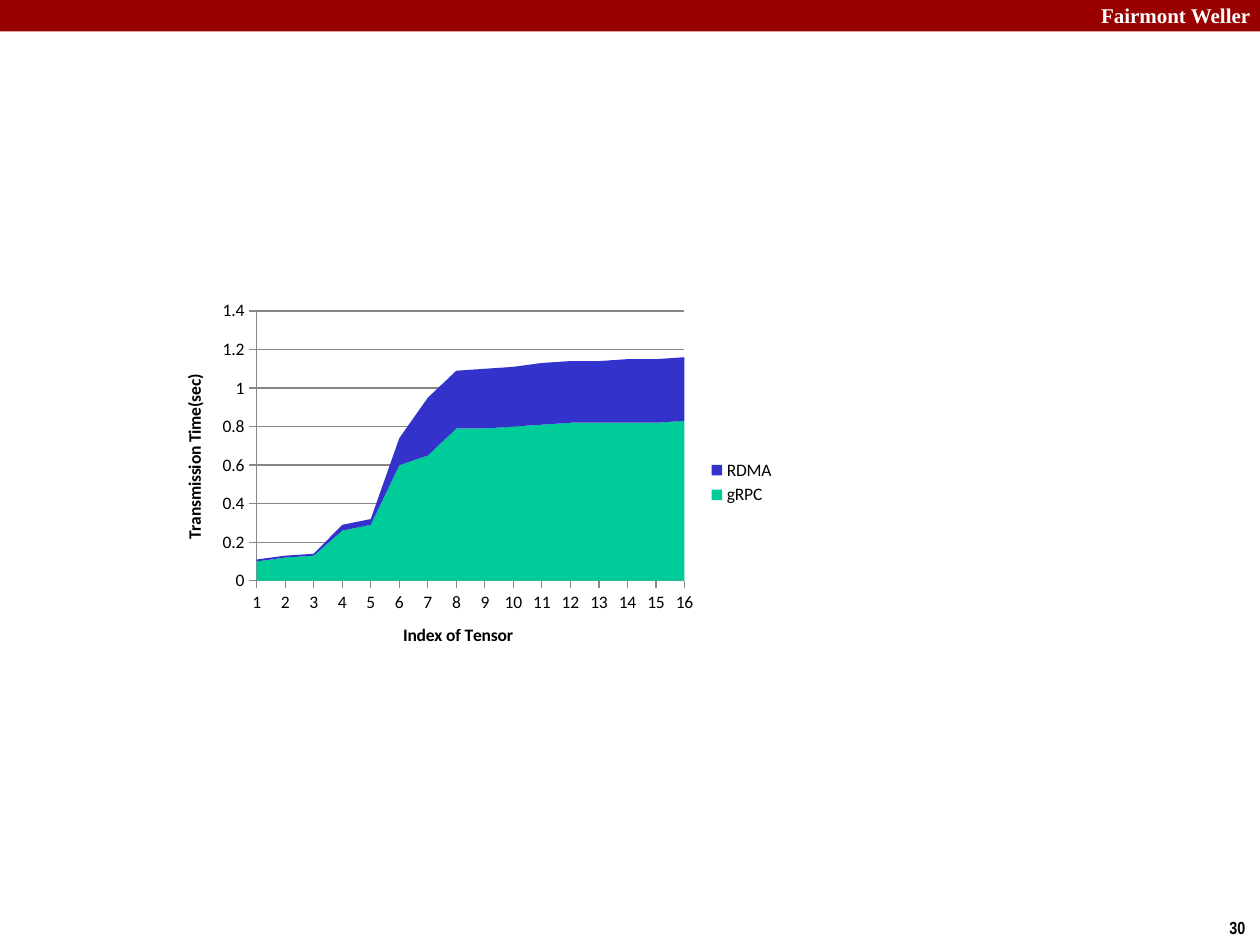
"""Builds a slide with a stacked area chart of tensor transmission times."""
from pptx import Presentation
from pptx.chart.data import CategoryChartData
from pptx.dml.color import RGBColor
from pptx.enum.chart import XL_CHART_TYPE as ChartType, XL_LEGEND_POSITION as LegendPosition
from pptx.enum.chart import XL_TICK_MARK as TickMark
from pptx.enum.shapes import MSO_SHAPE as Preset
from pptx.util import Inches, Pt

RED = RGBColor(0x99, 0x00, 0x00)
WHITE = RGBColor(0xFF, 0xFF, 0xFF)
BLACK = RGBColor(0x00, 0x00, 0x00)
GREY = RGBColor(0x87, 0x87, 0x87)
GREEN = RGBColor(0x00, 0xCC, 0x99)
BLUE = RGBColor(0x33, 0x33, 0xCC)

LABELS = [
    ("Fairmont Weller", (8.64, -0.03, 1.43, 0.3), "Times New Roman", 12, WHITE, True),
    ("30", (9.66, 7.23, 0.34, 0.27), "Arial Narrow", 10, BLACK, False),
]
TIMES = [
    ("gRPC", GREEN, (0.1, 0.12, 0.13, 0.26, 0.29, 0.6, 0.65, 0.79,
                     0.79, 0.8, 0.81, 0.82, 0.82, 0.82, 0.82, 0.83)),
    ("RDMA", BLUE, (0.01, 0.01, 0.01, 0.03, 0.03, 0.14, 0.3, 0.3,
                    0.31, 0.31, 0.32, 0.32, 0.32, 0.33, 0.33, 0.33)),
]
TENSORS = [str(index) for index in range(1, 17)]
CHART_BOX = (1.25, 2.33, 5, 3)


def inches(box):
    return [Inches(length) for length in box]


def style(font, size, color, name, bold=False):
    font.size, font.name, font.bold = Pt(size), name, bold
    font.color.rgb = color


deck = Presentation()
deck.slide_width, deck.slide_height = Inches(10), Inches(7.5)
slide = deck.slides.add_slide(deck.slide_layouts[6])

banner = slide.shapes.add_shape(Preset.RECTANGLE, 0, 0, deck.slide_width, Inches(0.25))
banner.shadow.inherit = False
banner.fill.solid()
banner.fill.fore_color.rgb = RED
banner.line.fill.background()

for wording, box, face, size, color, wraps in LABELS:
    frame = slide.shapes.add_textbox(*inches(box)).text_frame
    frame.word_wrap = wraps
    label = frame.paragraphs[0]
    label.text = wording
    style(label.font, size, color, face, bold=True)

data = CategoryChartData()
data.categories = TENSORS
for protocol, _, seconds in TIMES:
    data.add_series(protocol, seconds)

chart = slide.shapes.add_chart(ChartType.AREA_STACKED, *inches(CHART_BOX), data).chart
style(chart.font, 10, BLACK, "Calibri")
chart.has_title = False
chart.has_legend = True
chart.legend.position = LegendPosition.RIGHT
chart.legend.include_in_layout = False

for area, (_, color, _) in zip(chart.plots[0].series, TIMES):
    area.format.fill.solid()
    area.format.fill.fore_color.rgb = color
    area.format.line.fill.background()

for axis, caption in ((chart.category_axis, "Index of Tensor"),
                      (chart.value_axis, "Transmission Time(sec)")):
    title = axis.axis_title.text_frame.paragraphs[0]
    title.text = caption
    style(title.font, 10, BLACK, "Calibri", bold=True)
    axis.major_tick_mark = TickMark.OUTSIDE
    axis.minor_tick_mark = TickMark.NONE
    axis.format.line.color.rgb = GREY
    axis.format.line.width = Pt(0.75)

chart.category_axis.has_major_gridlines = False
seconds_axis = chart.value_axis
seconds_axis.minimum_scale, seconds_axis.maximum_scale = 0, 1.4
seconds_axis.major_unit = 0.2
seconds_axis.tick_labels.number_format = "General"
seconds_axis.tick_labels.number_format_is_linked = False
seconds_axis.has_major_gridlines = True
seconds_axis.major_gridlines.format.line.color.rgb = GREY
seconds_axis.major_gridlines.format.line.width = Pt(0.75)
for crossing in chart.element.xpath(".//c:valAx/c:crossBetween"):
    crossing.set("val", "midCat")

deck.save("out.pptx")
